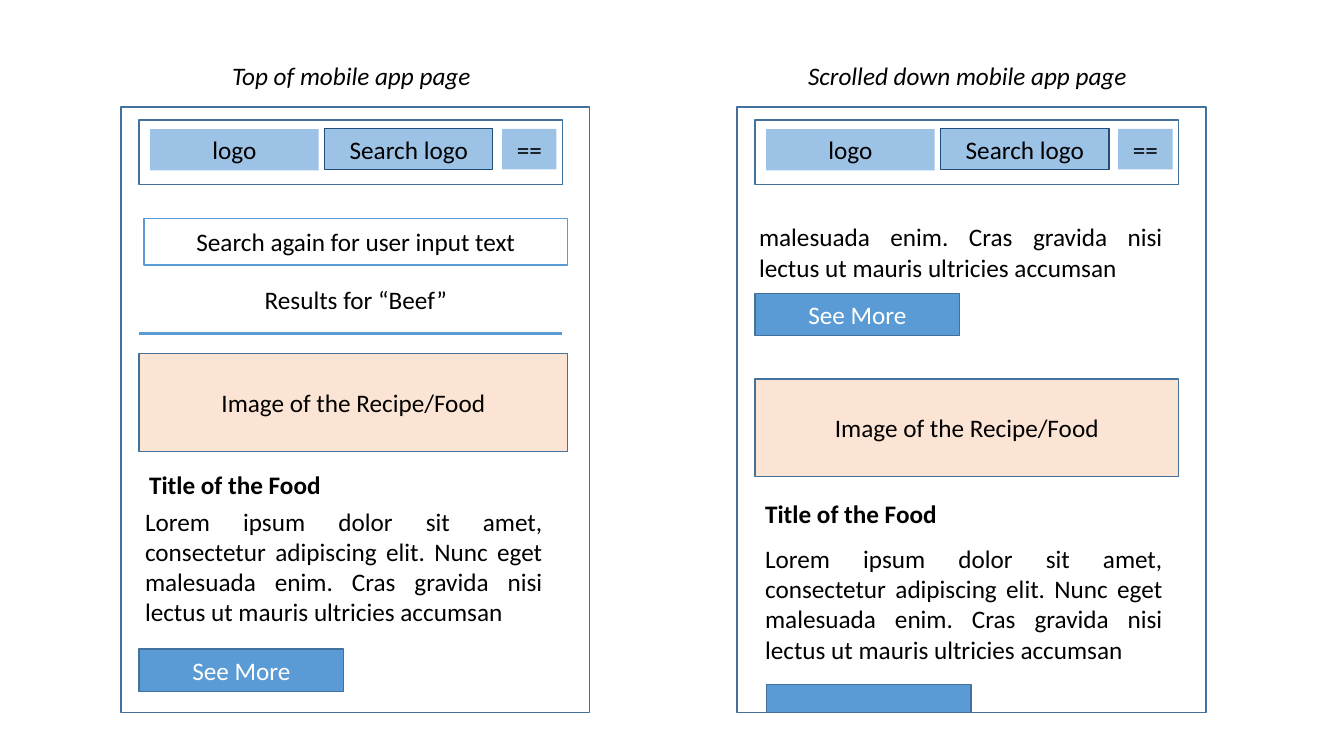
from pptx import Presentation
from pptx.dml.color import RGBColor
from pptx.enum.shapes import MSO_CONNECTOR, MSO_SHAPE
from pptx.enum.text import MSO_ANCHOR, PP_ALIGN
from pptx.oxml.ns import qn
from pptx.util import Pt
from lxml.etree import SubElement

PX = 9144  # 100 px to the inch
LOREM_END = "malesuada enim. Cras gravida nisi lectus ut mauris ultricies accumsan"
LOREM = "Lorem ipsum dolor sit amet, consectetur adipiscing elit. Nunc eget " + LOREM_END
IMAGE = "Image of the Recipe/Food"
TITLE = "Title of the Food"

# Style: fill, line, line width, text colour, alignment, bold, italic
STYLES = {
    "frame": (None, "42719B", 1, "000000", PP_ALIGN.CENTER, False, False),
    "chip": ("9CC2E5", None, 0, "000000", PP_ALIGN.CENTER, False, False),
    "outlined chip": ("9CC2E5", "1E4E79", 0.75, "000000", PP_ALIGN.CENTER, False, False),
    "search": (None, "5B9BD5", 1, "000000", PP_ALIGN.CENTER, False, False),
    "image": ("FBE4D4", "42719B", 1, "000000", PP_ALIGN.CENTER, False, False),
    "button": ("5B9BD5", "42719B", 1, "FFFFFF", PP_ALIGN.CENTER, False, False),
    "caption": (None, None, 0, "000000", PP_ALIGN.CENTER, False, True),
    "label": (None, None, 0, "000000", PP_ALIGN.CENTER, False, False),
    "heading": (None, None, 0, "000000", PP_ALIGN.LEFT, True, False),
    "body": (None, None, 0, "000000", PP_ALIGN.JUSTIFY, False, False),
}
TEXT_ONLY = ("caption", "label", "heading", "body")

# Parts: style, text, left from the phone edge, top, width, height
PHONE = [
    ("frame", "", 0, 106, 465, 601),
    ("outlined chip", "Search logo", 202, 128, 167, 40),
    ("chip", "logo", 29, 128, 167, 41),
    ("chip", "==", 378, 128, 54, 40),
    ("frame", "", 18, 119, 420, 64),
]
TOP_PARTS = [
    ("search", "Search again for user input text", 23, 217, 420, 46),
    ("label", "Results for “Beef”", 23, 277, 420, 40),
    ("image", IMAGE, 18, 351, 425, 97),
    ("body", LOREM, 14, 497, 414, 131),
    ("heading", TITLE, 18, 461, 425, 40),
    ("button", "See More", 18, 644, 203, 42),
]
SCROLLED_PARTS = [
    ("body", LOREM_END, 12, 215, 420, 71),
    ("button", "See More", 18, 291, 203, 42),
    ("body", LOREM, 18, 534, 414, 131),
    ("heading", TITLE, 18, 489, 420, 40),
    ("button", "", 29, 679, 203, 28),
    ("image", IMAGE, 18, 376, 420, 97),
]
SCREENS = [
    (120, "Top of mobile app page", TOP_PARTS),
    (731, "Scrolled down mobile app page", SCROLLED_PARTS),
]
DIVIDER = (138, 557, 331)  # start, end, height on the page


def colour(value):
    return RGBColor.from_string(value)


def add_part(page, style, text, left, top, width, height):
    fill, line, line_width, ink, align, bold, italic = STYLES[style]
    place = [length * PX for length in (left, top, width, height)]
    if style in TEXT_ONLY:
        box = page.shapes.add_textbox(*place)
    else:
        box = page.shapes.add_shape(MSO_SHAPE.RECTANGLE, *place)
        box.shadow.inherit = False
        box.text_frame.vertical_anchor = MSO_ANCHOR.MIDDLE
        if fill:
            box.fill.solid()
            box.fill.fore_color.rgb = colour(fill)
        else:
            box.fill.background()
        if line:
            box.line.color.rgb = colour(line)
            box.line.width = Pt(line_width)
        else:
            box.line.fill.background()
    if text:
        box.text_frame.word_wrap = True
        para = box.text_frame.paragraphs[0]
        para.text = text
        para.alignment = align
        font = para.font
        font.name, font.size = "Calibri", Pt(18)
        font.bold, font.italic = bold, italic
        font.color.rgb = colour(ink)


def add_divider(page, start, end, height):
    rule = page.shapes.add_connector(
        MSO_CONNECTOR.STRAIGHT, start * PX, height * PX, end * PX, height * PX)
    rule.line.color.rgb = colour("5B9BD5")
    rule.line.width = Pt(2.25)
    SubElement(rule._element.spPr, qn("a:effectLst"))


def main():
    deck = Presentation()
    deck.slide_width, deck.slide_height = 1333 * PX, 750 * PX
    page = deck.slides.add_slide(deck.slide_layouts[6])

    # Two phone screens side by side, each under its caption
    for phone_left, caption, parts in SCREENS:
        heading = ("caption", caption, -4, 55, 465, 40)
        for style, text, left, top, width, height in [*PHONE, *parts, heading]:
            add_part(page, style, text, phone_left + left, top, width, height)

    # Rule under the results label
    add_divider(page, *DIVIDER)
    deck.save("out.pptx")


if __name__ == "__main__":
    main()
